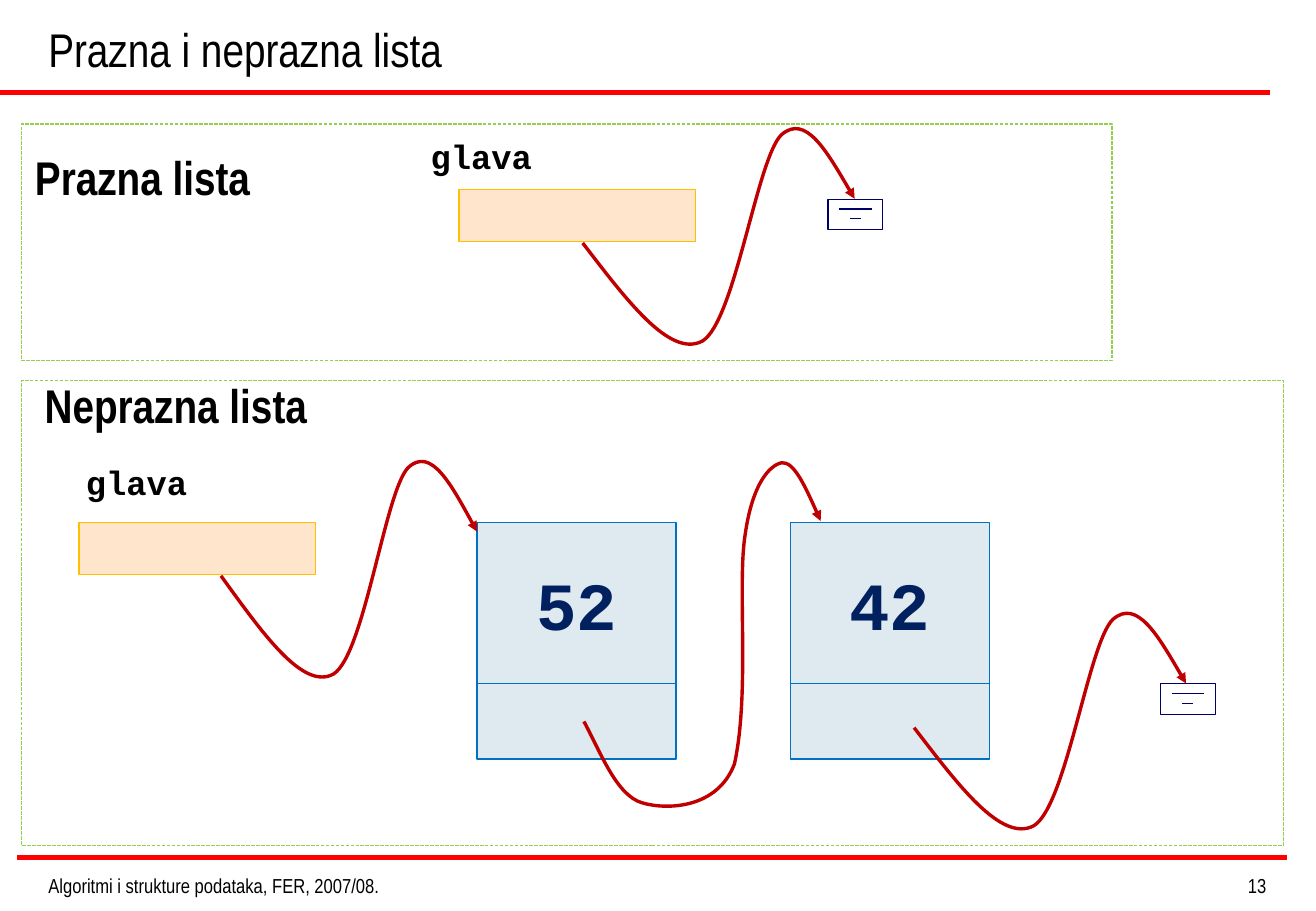
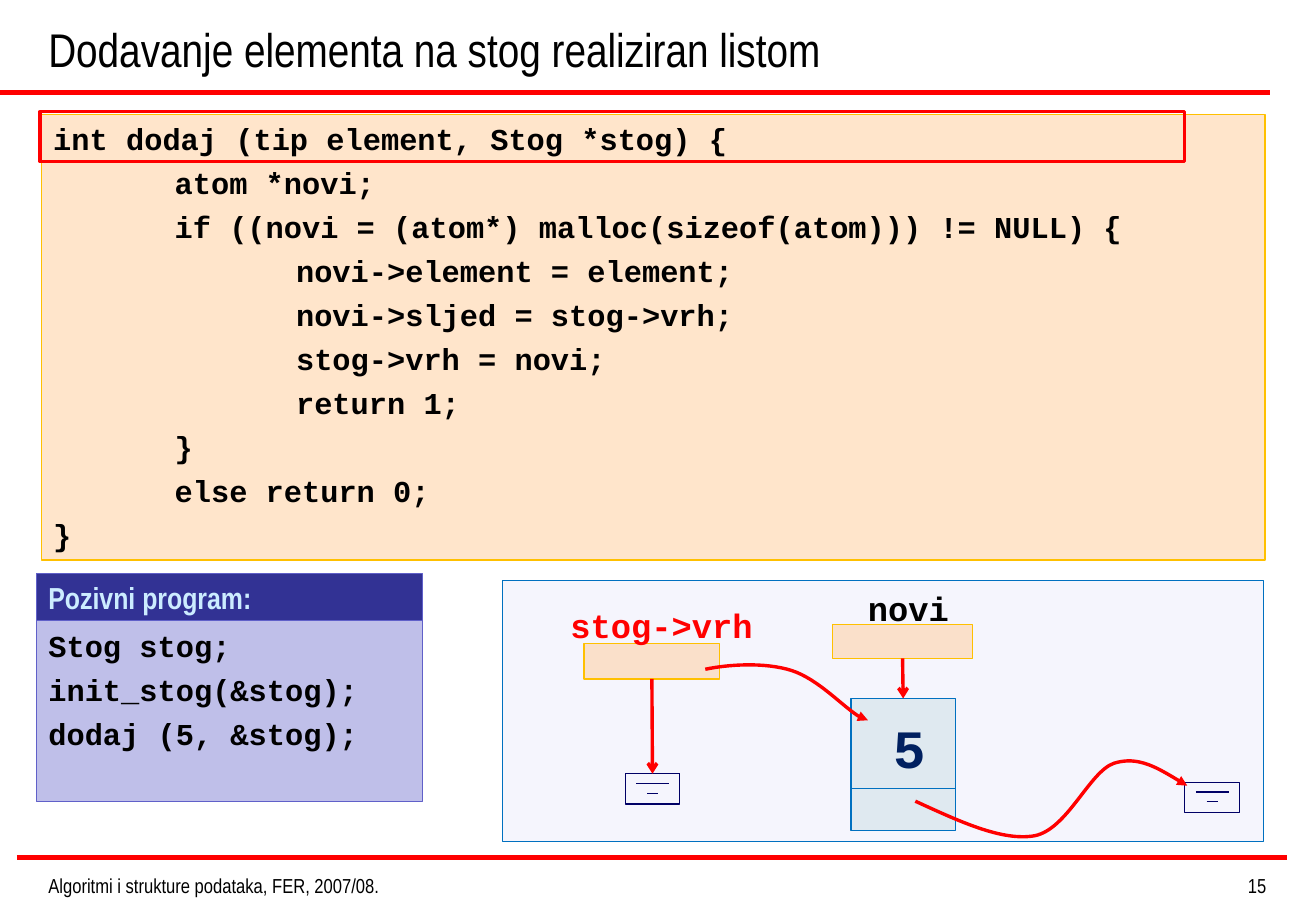
import dataclasses

import lxml.etree
import pptx
import pptx.dml.color
import pptx.enum.dml
import pptx.enum.shapes
import pptx.enum.text
import pptx.oxml.ns
import pptx.util

Inches = pptx.util.Inches
Pt = pptx.util.Pt
qn = pptx.oxml.ns.qn
ALIGN = pptx.enum.text.PP_ALIGN
ANCHOR = pptx.enum.text.MSO_ANCHOR
BOTTOM, TOP = 2, 0  # connection sites of a rectangle


@dataclasses.dataclass(frozen=True)
class Theme:
    sans: str = "Arial Narrow"
    mono: str = "Courier New"
    black: str = "000000"
    red: str = "FF0000"
    dark_red: str = "C00000"
    green: str = "92D050"
    peach: str = "FFCC99"
    amber: str = "FFC000"
    node: str = "DFE9F0"
    blue: str = "0070C0"
    navy: str = "002060"
    null_ink: str = "000066"
    violet: str = "6060C9"
    indigo: str = "323294"
    ice: str = "CCECFF"
    lavender: str = "E8E8FA"
    title_size: float = 28
    label_size: float = 20
    code_size: float = 18
    footer_size: float = 12
    value_size: float = 40
    small_value_size: float = 32
    code_gap: float = 4.5
    thin: float = 0.75
    arrow: float = 2
    rule: float = 3


THEME = Theme()

# Pointer curve in fractions of its box: start, then three points per Bézier
SWOOP = [(0, 0.53), (0.16, 0.76), (0.32, 1), (0.44, 0.93), (0.56, 0.85),
         (0.64, 0.19), (0.73, 0.09), (0.82, 0), (0.91, 0.18), (1, 0.35)]

NODE_LINK = [(4.81, 5.94), (4.95, 6.2), (5.08, 6.55), (5.29, 6.61),
             (5.49, 6.67), (5.91, 6.66), (6.05, 6.29),
             (6.18, 5.7), (6.07, 4.8), (6.14, 4.39),
             (6.2, 3.98), (6.34, 3.83), (6.44, 3.81),
             (6.54, 3.8), (6.65, 4.04), (6.76, 4.29)]

TOP_LINK = [(5.81, 5.51), (6, 5.47), (6.3, 5.45), (6.52, 5.52),
            (6.74, 5.59), (7.04, 5.92), (7.15, 5.93)]

PUSH_CODE = """int dodaj (tip element, Stog *stog) {
\tatom *novi;
\tif ((novi = (atom*) malloc(sizeof(atom))) != NULL) {
\t\tnovi->element = element;
\t\tnovi->sljed = stog->vrh;
\t\tstog->vrh = novi;
\t\treturn 1;
\t}
\telse return 0;
}"""

CALLER_CODE = """Stog stog;
init_stog(&stog);
dodaj (5, &stog);"""


def rgb(color):
    return pptx.dml.color.RGBColor.from_string(color)


def set_line(shape, color, width, head=None):
    shape.line.color.rgb = rgb(color)
    shape.line.width = Pt(width)
    if head:
        outline = shape.element.spPr.find(qn("a:ln"))
        lxml.etree.SubElement(outline, qn("a:tailEnd"), type=head)


def write(shape, text, size, color=THEME.black, font=THEME.mono, bold=True,
          align=ALIGN.LEFT, anchor=ANCHOR.TOP):
    """Fill a shape with text, one paragraph a line, with tabs at each inch."""
    frame = shape.text_frame
    frame.text = text
    frame.word_wrap = True
    frame.vertical_anchor = anchor
    for index, paragraph in enumerate(frame.paragraphs):
        if "\t" in paragraph.text:
            tabs = lxml.etree.SubElement(
                paragraph._p.get_or_add_pPr(), qn("a:tabLst"))
            for stop in (1, 2):
                lxml.etree.SubElement(
                    tabs, qn("a:tab"), pos=str(Inches(stop)), algn="l")
        paragraph.alignment = align
        if index:
            paragraph.space_before = Pt(THEME.code_gap)
        for run in paragraph.runs:
            run.font.name = font
            run.font.size = Pt(size)
            run.font.bold = bold
            run.font.color.rgb = rgb(color)


def add_text(slide, box, text, size, **style):
    area = slide.shapes.add_textbox(*map(Inches, box))
    write(area, text, size, **style)


def add_box(slide, box, fill=None, line=None, width=THEME.thin, opacity=None):
    rectangle = slide.shapes.add_shape(
        pptx.enum.shapes.MSO_SHAPE.RECTANGLE, *map(Inches, box))
    rectangle.shadow.inherit = False
    if fill:
        rectangle.fill.solid()
        rectangle.fill.fore_color.rgb = rgb(fill)
        if opacity:
            tint = rectangle.element.spPr.find(
                qn("a:solidFill") + "/" + qn("a:srgbClr"))
            lxml.etree.SubElement(
                tint, qn("a:alpha"), val=str(opacity * 1000))
    else:
        rectangle.fill.background()
    if line:
        set_line(rectangle, line, width)
    else:
        rectangle.line.fill.background()
    return rectangle


def add_line(slide, start, end, color, width, head=None):
    line = slide.shapes.add_connector(
        pptx.enum.shapes.MSO_CONNECTOR.STRAIGHT,
        *map(Inches, (*start, *end)))
    set_line(line, color, width, head)
    lxml.etree.SubElement(line.element.spPr, qn("a:effectLst"))
    return line


def add_arrow(slide, source, target):
    """Straight arrow from the bottom of one box to the top of another."""
    arrow = add_line(slide, (0, 0), (1, 1), THEME.red, THEME.arrow, "arrow")
    arrow.begin_connect(source, BOTTOM)
    arrow.end_connect(target, TOP)


def add_curve(slide, points, color):
    """Curved arrow through a start and three points for each Bézier."""
    start, *rest = [(Inches(x), Inches(y)) for x, y in points]
    builder = slide.shapes.build_freeform(*start)
    builder.add_line_segments(rest, close=False)
    curve = builder.convert_to_shape()
    curve.shadow.inherit = False
    curve.fill.background()
    set_line(curve, color, THEME.arrow, "triangle")
    # Gather each three straight segments into one Bézier segment
    outline = curve.element.find(".//" + qn("a:path"))
    segments = outline.findall(qn("a:lnTo"))
    for first in range(0, len(segments), 3):
        bezier = lxml.etree.SubElement(outline, qn("a:cubicBezTo"))
        for segment in segments[first:first + 3]:
            bezier.append(segment[0])
            outline.remove(segment)


def add_swoop(slide, box, color):
    left, top, width, height = box
    points = [(left + x * width, top + y * height) for x, y in SWOOP]
    add_curve(slide, points, color)


def add_pointer(slide, box):
    return add_box(slide, box, THEME.peach, THEME.amber, opacity=50)


def add_null(slide, left, top):
    """Null symbol: a small box with ever shorter lines."""
    width, height, inset, step = 0.45, 0.25, 0.09, 0.08
    for row in range(3):
        y = top + row * step
        add_line(slide, (left + row * inset, y),
                 (left + width - row * inset, y), THEME.null_ink, THEME.thin)
    return add_box(slide, (left, top, width, height), line=THEME.null_ink)


def add_node(slide, left, top, width, value_height, link_height):
    """List node: a link cell below a value cell, which is returned."""
    add_box(slide, (left, top + value_height, width, link_height),
            THEME.node, THEME.blue)
    return add_box(slide, (left, top, width, value_height),
                   THEME.node, THEME.blue)


def add_slide(deck, title, number):
    """Blank slide with the title, both red rules and the footer."""
    slide = deck.slides.add_slide(deck.slide_layouts[6])
    for left, y in ((0, 0.76), (0.14, 7.06)):
        add_line(slide, (left, y), (left + 10.46, y), THEME.red, THEME.rule)
    add_text(slide, (0.3, 0, 10.16, 0.68), title, THEME.title_size,
             font=THEME.sans, bold=False, anchor=ANCHOR.BOTTOM)
    footer = {"size": THEME.footer_size, "font": THEME.sans, "bold": False}
    add_text(slide, (0.3, 7.14, 3.78, 0.24),
             "Algoritmi i strukture podataka, FER, 2007/08.", **footer)
    add_text(slide, (7.76, 7.14, 2.77, 0.24), str(number),
             align=ALIGN.RIGHT, **footer)
    return slide


def build_lists(deck):
    slide = add_slide(deck, "Prazna i neprazna lista", 13)

    # Frames and their headings
    for frame_box, heading_at, heading in (
            ((0.18, 1.02, 8.98, 1.95), (0.19, 1.17), "Prazna lista"),
            ((0.18, 3.13, 10.39, 3.83), (0.27, 3.05), "Neprazna lista")):
        frame = add_box(slide, frame_box, line=THEME.green)
        frame.line.dash_style = pptx.enum.dml.MSO_LINE.SQUARE_DOT
        add_text(slide, (*heading_at, 2.6, 0.57), heading, THEME.title_size,
                 font=THEME.sans)

    # List heads
    for label_at, pointer_at in (((3.45, 1.07), (3.78, 1.56)),
                                 ((0.61, 3.75), (0.65, 4.3))):
        add_text(slide, (*label_at, 1.3, 0.44), "glava", THEME.label_size)
        add_pointer(slide, (*pointer_at, 1.95, 0.43))

    # Nodes and null symbols
    for left, value in ((3.93, "52"), (6.51, "42")):
        cell = add_node(slide, left, 4.3, 1.64, 1.33, 0.62)
        write(cell, value, THEME.value_size, THEME.navy,
              align=ALIGN.CENTER, anchor=ANCHOR.MIDDLE)
    add_null(slide, 6.82, 1.64)
    add_null(slide, 9.56, 5.63)

    # Links
    for left, top, width in ((4.8, 0.93, 2.24), (1.82, 3.67, 2.11),
                             (7.53, 4.92, 2.24)):
        add_swoop(slide, (left, top, width, 2.02), THEME.dark_red)
    add_curve(slide, NODE_LINK, THEME.dark_red)


def build_push(deck):
    slide = add_slide(
        deck, "Dodavanje elementa na stog realiziran listom", 15)

    # Function code with its highlighted signature
    listing = add_pointer(slide, (0.34, 0.94, 10.08, 3.67))
    write(listing, PUSH_CODE, THEME.code_size)
    add_box(slide, (0.33, 0.92, 9.43, 0.41), line=THEME.red,
            width=THEME.arrow)

    # Calling program
    caller_title = add_box(slide, (0.3, 4.72, 3.18, 0.39),
                           THEME.indigo, THEME.violet)
    write(caller_title, "Pozivni program:", THEME.code_size, THEME.ice,
          font=THEME.sans, anchor=ANCHOR.MIDDLE)
    caller = add_box(slide, (0.3, 5.11, 3.18, 1.49),
                     THEME.violet, THEME.violet, opacity=40)
    write(caller, CALLER_CODE, THEME.code_size)

    # Diagram: stack top, new node and null symbols
    add_box(slide, (4.14, 4.78, 6.27, 2.15), THEME.lavender, THEME.blue,
            opacity=40)
    stack_top = add_pointer(slide, (4.81, 5.3, 1.12, 0.29))
    add_text(slide, (4.6, 4.93, 2, 0.44), "stog->vrh", THEME.label_size,
             color=THEME.red)
    add_text(slide, (7.05, 4.79, 1.1, 0.44), "novi", THEME.label_size)
    new_pointer = add_pointer(slide, (6.86, 5.14, 1.15, 0.28))
    new_node = add_node(slide, 7.01, 5.75, 0.86, 0.74, 0.35)
    value = add_box(slide, (7.24, 5.83, 0.51, 0.64), THEME.node)
    write(value, "5", THEME.small_value_size, THEME.navy, align=ALIGN.CENTER)
    old_end = add_null(slide, 5.15, 6.37)
    add_null(slide, 9.76, 6.44)

    # Links
    add_arrow(slide, stack_top, old_end)
    add_arrow(slide, new_pointer, new_node)
    add_swoop(slide, (7.54, 6.22, 2.24, 0.71), THEME.red)
    add_curve(slide, TOP_LINK, THEME.red)


def main():
    deck = pptx.Presentation()
    deck.slide_width = Inches(10.84)
    deck.slide_height = Inches(7.5)
    build_lists(deck)
    build_push(deck)
    deck.save("out.pptx")


if __name__ == "__main__":
    main()
